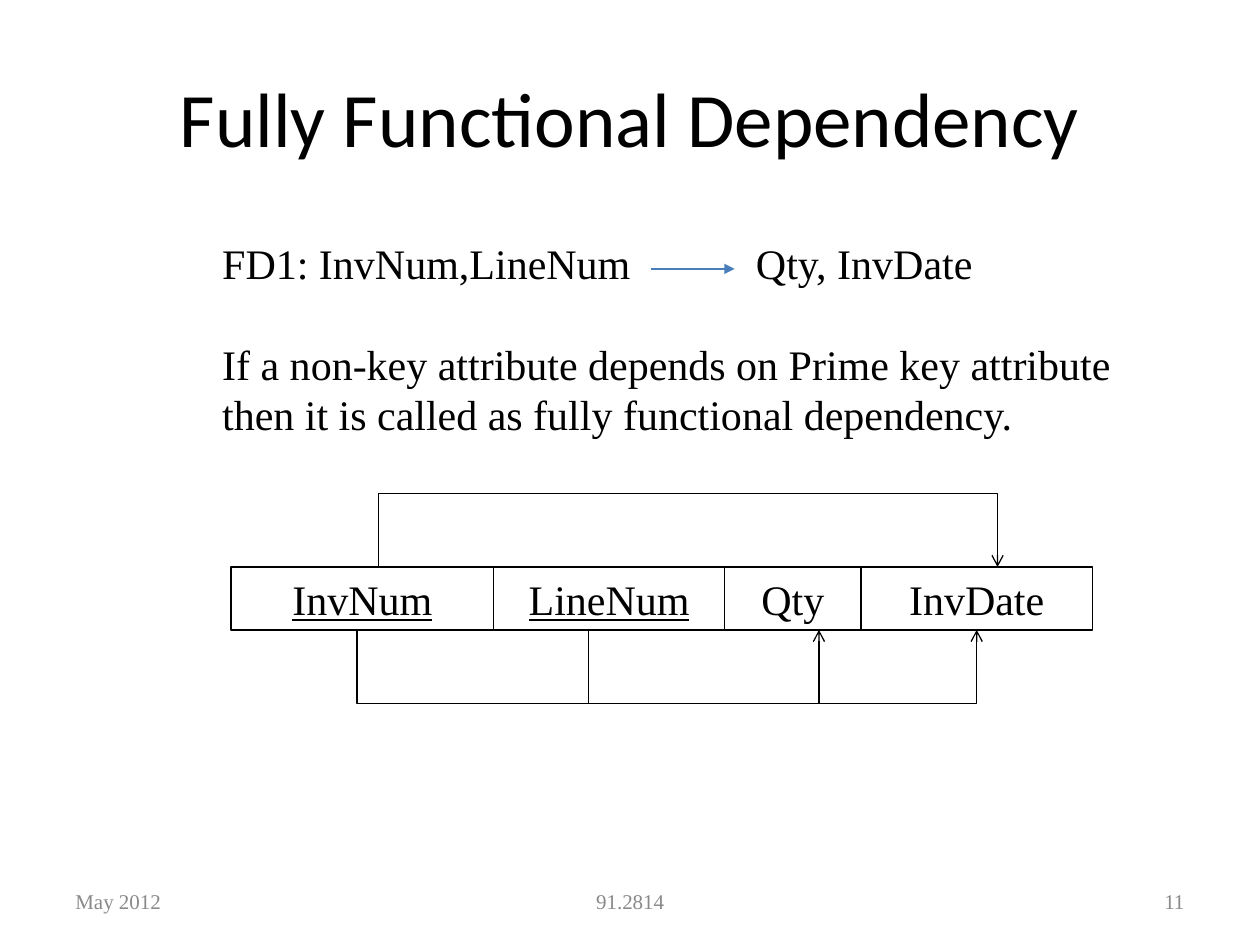
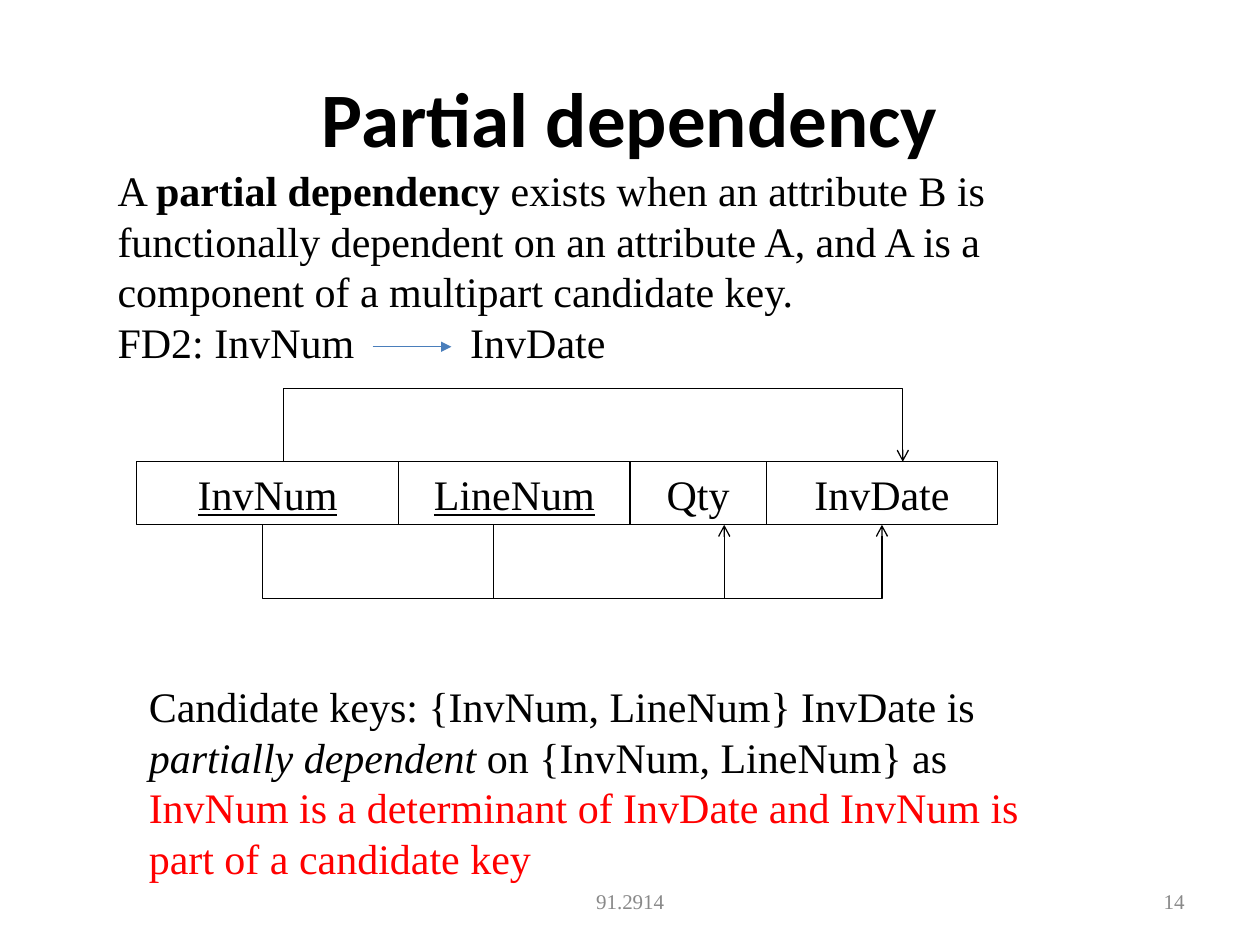
from dataclasses import dataclass

from lxml import etree
from pptx import Presentation
from pptx.dml.color import RGBColor
from pptx.enum.shapes import MSO_CONNECTOR, MSO_SHAPE
from pptx.enum.text import MSO_ANCHOR, MSO_AUTO_SIZE, PP_ALIGN
from pptx.oxml.ns import qn
from pptx.util import Cm, Pt

LEFT, MID, RIGHT = PP_ALIGN.LEFT, PP_ALIGN.CENTER, PP_ALIGN.RIGHT
TOP, CENTER = MSO_ANCHOR.TOP, MSO_ANCHOR.MIDDLE
GROW, FIXED = MSO_AUTO_SIZE.SHAPE_TO_FIT_TEXT, MSO_AUTO_SIZE.NONE
RECT, STRAIGHT = MSO_SHAPE.RECTANGLE, MSO_CONNECTOR.STRAIGHT


@dataclass(frozen=True)
class Theme:
    ink: str = "000000"
    gray: str = "898989"
    blue: str = "4A7EBB"
    red: str = "FF0000"
    head: str = "Calibri"
    body: str = "Times New Roman"
    title: int = 44
    text: int = 24
    foot: int = 12
    lead: float = 28.8
    line: float = 0.75


THEME = Theme()

# Content: a run is (text, style); a text block is (box, tab stop, paragraphs)
SLIDES = [
    {
        "title": ("Fully Functional Dependency", ""),
        "foot": ("May 2012", "91.2814", "11"),
        "row": (4.66, 11.43),
        "arrow": (13.13, 14.81, 5.42),
        "texts": [
            ((4.23, 4.66, 19.9, 4.32), 10.76, [
                [("FD1: InvNum,LineNum\tQty, InvDate", "")],
                [("If a non-key attribute depends on Prime key attribute "
                  "then it is called as fully functional dependency.", "")],
            ]),
        ],
        "gap": THEME.lead,
    },
    {
        "title": ("Partial dependency", "b"),
        "foot": ("", "91.2914", "14"),
        "row": (2.75, 9.31),
        "arrow": (7.51, 9.1, 6.99),
        "texts": [
            ((2.12, 3.2, 20.96, 4.32), 7.11, [
                [("A ", ""), ("partial dependency", "b"),
                 (" exists when an attribute B is functionally dependent on "
                  "an attribute A, and A is a component of a multipart "
                  "candidate key.", "")],
                [("FD2: InvNum\tInvDate", "")],
            ]),
            ((2.75, 13.6, 19.26, 4.32), None, [
                [("Candidate keys: {InvNum, LineNum} InvDate is ", ""),
                 ("partially dependent", "i"),
                 (" on {InvNum, LineNum} as ", ""),
                 ("InvNum is a determinant of InvDate and InvNum is part "
                  "of a candidate key", "r")],
            ]),
        ],
        "gap": 0,
    },
]

# Relation row: name, width, style
FIELDS = [("InvNum", 5.29, "u"), ("LineNum", 4.66, "u"),
          ("Qty", 2.75, ""), ("InvDate", 4.66, "")]
TALL, DROP = 1.27, 1.48
# Dependency paths: from x, to x (within the row), below the row or above
LINKS = [(7.2, 11.85, True), (2.54, 15.03, True), (2.97, 15.45, False)]

# Footer slots: left, width, alignment
FEET = [(1.27, 5.93, LEFT), (8.68, 8.05, MID), (18.2, 5.93, RIGHT)]
FOOT_TOP, FOOT_TALL = 17.65, 1.02


def rgb(code):
    return RGBColor.from_string(code)


def put(para, text, style="", size=THEME.text, face=THEME.body,
        color=THEME.ink):
    run = para.add_run()
    run.text = text
    font = run.font
    font.name, font.size = face, Pt(size)
    font.bold, font.italic = "b" in style, "i" in style
    font.underline = "u" in style
    font.color.rgb = rgb(THEME.red if "r" in style else color)


def frame(shape, anchor=TOP, size=GROW):
    body = shape.text_frame
    body.word_wrap = True
    body.auto_size = size
    body.vertical_anchor = anchor
    return body


def stroke(shape, color=THEME.ink, tip=None):
    shape.line.color.rgb = rgb(color)
    shape.line.width = Pt(THEME.line)
    if tip:
        line = shape.line._get_or_add_ln()
        etree.SubElement(line, qn("a:tailEnd"), type=tip)


def add_title(slide, text, style):
    title = slide.shapes.title
    title.left, title.top = Cm(1.27), Cm(0.76)
    title.width, title.height = Cm(22.86), Cm(3.18)
    para = frame(title, CENTER, FIXED).paragraphs[0]
    para.alignment = MID
    put(para, text, style, THEME.title, THEME.head)


def add_feet(slide, words):
    for word, (x, wide, align) in zip(words, FEET):
        if word:
            box = slide.shapes.add_textbox(
                Cm(x), Cm(FOOT_TOP), Cm(wide), Cm(FOOT_TALL))
            para = frame(box, CENTER, FIXED).paragraphs[0]
            para.alignment = align
            put(para, word, size=THEME.foot, color=THEME.gray)


def add_text(slide, place, stop, paras, gap):
    body = frame(slide.shapes.add_textbox(*map(Cm, place)))
    for i, runs in enumerate(paras):
        para = body.paragraphs[0] if i == 0 else body.add_paragraph()
        para.line_spacing = Pt(THEME.lead)
        para.space_before = Pt(gap if i else 0)
        if stop:
            tabs = etree.SubElement(
                para._p.get_or_add_pPr(), qn("a:tabLst"))
            etree.SubElement(tabs, qn("a:tab"), pos=str(Cm(stop)), algn="l")
        for run in runs:
            put(para, *run)


def add_row(slide, left, top):
    x = left
    for name, wide, style in FIELDS:
        cell = slide.shapes.add_shape(
            RECT, Cm(x), Cm(top), Cm(wide), Cm(TALL))
        cell.shadow.inherit = False
        cell.fill.background()
        stroke(cell)
        para = frame(cell).paragraphs[0]
        para.alignment = MID
        para.line_spacing = Pt(THEME.lead)
        put(para, name, style)
        x += wide


def add_links(slide, left, top):
    for start, end, below in LINKS:
        edge = top + TALL if below else top
        far = edge + DROP if below else edge - DROP
        a, b = Cm(left + start), Cm(left + end)
        pen = slide.shapes.build_freeform(a, Cm(edge))
        pen.add_line_segments(
            [(a, Cm(far)), (b, Cm(far)), (b, Cm(edge))], close=False)
        link = pen.convert_to_shape()
        link.shadow.inherit = False
        link.fill.background()
        stroke(link, tip="arrow")


def add_arrow(slide, start, end, y):
    arrow = slide.shapes.add_connector(
        STRAIGHT, Cm(start), Cm(y), Cm(end), Cm(y))
    stroke(arrow, THEME.blue, "triangle")
    etree.SubElement(arrow._element.spPr, qn("a:effectLst"))


def main():
    deck = Presentation()
    deck.slide_width, deck.slide_height = Cm(25.4), Cm(19.05)
    for data in SLIDES:
        slide = deck.slides.add_slide(deck.slide_layouts[5])
        add_title(slide, *data["title"])
        add_feet(slide, data["foot"])
        add_row(slide, *data["row"])
        add_links(slide, *data["row"])
        for block in data["texts"]:
            add_text(slide, *block, data["gap"])
        add_arrow(slide, *data["arrow"])
    deck.save("out.pptx")


if __name__ == "__main__":
    main()
